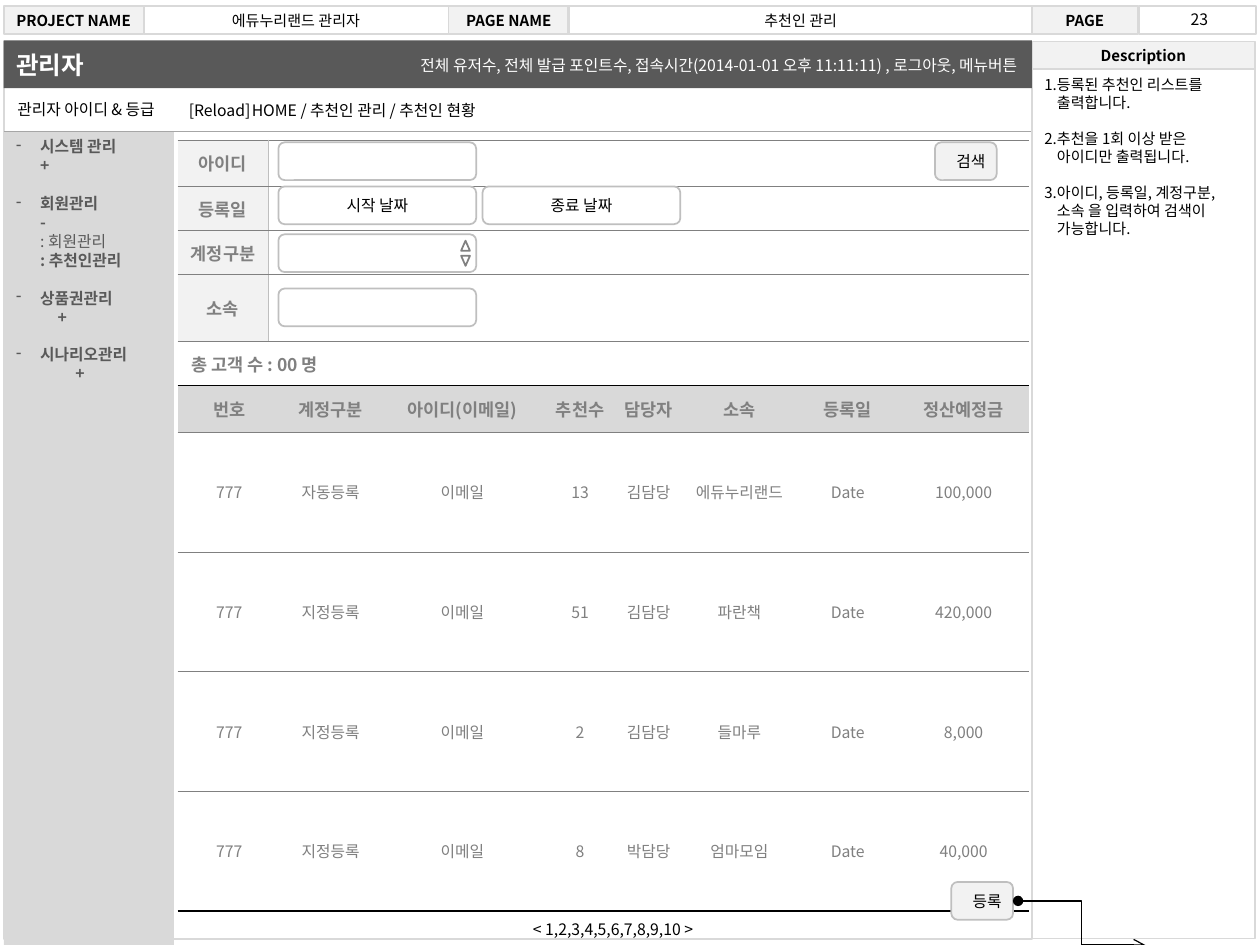
"""Build the referrer management wireframe slide."""
from dataclasses import dataclass
from lxml.etree import SubElement
from pptx import Presentation
from pptx.dml.color import RGBColor
from pptx.enum.shapes import MSO_CONNECTOR, MSO_SHAPE
from pptx.enum.text import MSO_ANCHOR, PP_ALIGN
from pptx.oxml import parse_xml
from pptx.oxml.ns import nsdecls, qn
from pptx.util import Inches, Pt


@dataclass(frozen=True)
class Theme:
    font: str = "Noto Sans CJK KR"
    black: str = "000000"
    white: str = "FFFFFF"
    dark: str = "595959"
    gray: str = "808080"
    rule: str = "A6A6A6"
    edge: str = "BFBFBF"
    soft: str = "D9D9D9"
    pale: str = "F2F2F2"
    small: float = 8.6
    body: float = 9
    head: float = 10
    title: float = 14


T = Theme()
HEADER = [("PROJECT NAME", 0.03, 1.11), ("에듀누리랜드 관리자", 1.14, 2.42),
          ("PAGE NAME", 3.56, 0.96), ("추천인 관리", 4.51, 3.69),
          ("PAGE", 8.19, 0.84), ("", 9.04, 0.93)]
NOTES = ["등록된 추천인 리스트를 출력합니다.",
         "추천을 1회 이상 받은 아이디만 출력됩니다.",
         "아이디, 등록일, 계정구분, 소속 을 입력하여 검색이 가능합니다."]
MENU = [("시스템 관리", [("+", 0, True)]),
        ("회원관리", [("-", 0, True), (": 회원관리", 0, False),
                  (": 추천인관리", 0, True)]),
        ("상품권관리", [("+", 0.14, True)]),
        ("시나리오관리", [("+", 0.28, True)])]
STATUS = ("전체 유저수, 전체 발급 포인트수, 접속시간(2014-01-01 오후 11:11:11) "
          ", 로그아웃, 메뉴버튼")
FIELDS = ["아이디", "등록일", "계정구분", "소속"]
TOTAL = "총 고객 수 : 00 명"
HEADS = ["번호", "계정구분", "아이디(이메일)", "추천수", "담당자", "소속", "등록일", "정산예정금"]
ROWS = [["777", "자동등록", "이메일", "13", "김담당", "에듀누리랜드", "Date", "100,000"],
        ["777", "지정등록", "이메일", "51", "김담당", "파란책", "Date", "420,000"],
        ["777", "지정등록", "이메일", "2", "김담당", "들마루", "Date", "8,000"],
        ["777", "지정등록", "이메일", "8", "박담당", "엄마모임", "Date", "40,000"]]
WIDTHS = [0.72, 0.07, 0.79, 1.3, 0.57, 0.52, 0.92, 0.8, 1.04]
HEIGHTS = [0.37, 0.35, 0.35, 0.53, 0.35, 0.37] + [0.95] * 4
INPUTS = [("", 2.21, 1.13), ("시작 날짜", 2.21, 1.48), ("종료 날짜", 3.83, 1.48),
          ("", 2.21, 1.86), ("", 2.21, 2.29)]
BUTTONS = [("검색", 7.42, 1.13), ("등록", 7.55, 7)]

deck = Presentation()
deck.slide_width, deck.slide_height = Inches(10), Inches(7.5)
slide = deck.slides.add_slide(deck.slide_layouts[6])
shapes = slide.shapes


def rgb(code):
    return RGBColor.from_string(code)


def say(frame, text, size=T.body, color=T.black, bold=False, align="CENTER",
        first=True, pitch=None, before=0, left=0, hang=0, mark=None, tab=None):
    para = frame.paragraphs[0] if first else frame.add_paragraph()
    para.alignment = getattr(PP_ALIGN, align)
    if pitch:
        para.line_spacing = Pt(pitch)
    if before:
        para.space_before = Pt(before)
    props = para._p.get_or_add_pPr()
    props.set("marL", str(Inches(left)))
    props.set("indent", str(Inches(-hang)))
    if mark == "1.":
        SubElement(props, qn("a:buAutoNum"), type="arabicPeriod")
    elif mark:
        SubElement(props, qn("a:buChar"), char=mark)
    if tab:
        stops = SubElement(props, qn("a:tabLst"))
        SubElement(stops, qn("a:tab"), pos=str(Inches(tab)), algn="l")
    run = para.add_run()
    run.text = text
    font = run.font
    font.name, font.size, font.bold = T.font, Pt(size), bold
    font.color.rgb = rgb(color)
    SubElement(run._r.get_or_add_rPr(), qn("a:ea"), typeface=T.font)


def box(left, top, wide, high, fill=None, line=T.soft, kind="RECTANGLE"):
    part = shapes.add_shape(getattr(MSO_SHAPE, kind), Inches(left), Inches(top),
                            Inches(wide), Inches(high))
    part.shadow.inherit = False
    if fill:
        part.fill.solid()
        part.fill.fore_color.rgb = rgb(fill)
    else:
        part.fill.background()
    if line:
        part.line.color.rgb = rgb(line)
        part.line.width = Pt(1)
    else:
        part.line.fill.background()
    part.text_frame.vertical_anchor = MSO_ANCHOR.MIDDLE
    return part


def label(text, left, top, wide, high=0.25, wrap=True, **fmt):
    frame = shapes.add_textbox(Inches(left), Inches(top), Inches(wide),
                               Inches(high)).text_frame
    frame.word_wrap = wrap
    frame.vertical_anchor = MSO_ANCHOR.MIDDLE
    say(frame, text, **fmt)


def link(kind, start, end, color, width):
    wire = shapes.add_connector(kind, *map(Inches, start + end))
    wire.line.color.rgb = rgb(color)
    wire.line.width = Pt(width)
    SubElement(wire._element.spPr, qn("a:effectLst"))
    return wire


def trim(cell, **edges):
    props = cell._tc.get_or_add_tcPr()
    for spot, side in enumerate("LRTB"):
        color, width = edges.get(side, (None, 0))
        ink = (f'<a:solidFill><a:srgbClr val="{color}"/></a:solidFill>'
               if color else "<a:noFill/>")
        props.insert(spot, parse_xml(
            f'<a:ln{side} {nsdecls("a")} w="{int(Pt(width))}">{ink}</a:ln{side}>'))


def dress(cell, fill, **edges):
    if fill:
        cell.fill.solid()
        cell.fill.fore_color.rgb = rgb(fill)
    else:
        cell.fill.background()
    cell.margin_left = cell.margin_right = Inches(0.03)
    cell.margin_top = cell.margin_bottom = Inches(0.02)
    cell.vertical_anchor = MSO_ANCHOR.MIDDLE
    trim(cell, **edges)


def build_grid():
    grid = shapes.add_table(len(HEIGHTS), len(WIDTHS), Inches(1.41), Inches(1.11),
                            Inches(sum(WIDTHS)), Inches(sum(HEIGHTS))).table
    grid.first_row = grid.horz_banding = False
    for col, wide in zip(grid.columns, WIDTHS):
        col.width = Inches(wide)
    for row, high in zip(grid.rows, HEIGHTS):
        row.height = Inches(high)
    count, last = len(FIELDS), len(HEIGHTS) - 1
    thin, thick, side = (T.gray, 0.25), (T.black, 1), (T.edge, 0.25)
    for y in range(len(HEIGHTS)):
        rule = {"T": thick if y == count + 1 else thin,
                "B": thick if y in (count, last) else thin}
        for x in range(len(WIDTHS)):
            if y < count:
                post = {"R": side} if x == 0 else {"L": side} if x == 1 else {}
                dress(grid.cell(y, x), None if x else T.pale, **rule, **post)
            else:
                dress(grid.cell(y, x), T.soft if y == count + 1 else T.white, **rule)
    bold = dict(size=T.head, color=T.gray, bold=True)
    for y, name in enumerate(FIELDS):
        grid.cell(y, 1).merge(grid.cell(y, 8))
        say(grid.cell(y, 0).text_frame, name, **bold)
        say(grid.cell(y, 1).text_frame, "")
    grid.cell(count, 0).merge(grid.cell(count, 8))
    say(grid.cell(count, 0).text_frame, TOTAL, align="LEFT", left=0.08, **bold)
    for y, row in enumerate([HEADS] + ROWS, count + 1):
        grid.cell(y, 0).merge(grid.cell(y, 1))
        fmt = bold if row is HEADS else dict(color=T.gray)
        for x, text in enumerate(row):
            say(grid.cell(y, x + 1 if x else 0).text_frame, text, **fmt)


for n, (text, left, wide) in enumerate(HEADER):
    part = box(left, 0.05, wide, 0.22, None if n % 2 else T.pale)
    if text:
        say(part.text_frame, text, size=T.small, bold=n % 2 == 0)
box(0.03, 0.33, 8.16, 7.12)
say(box(8.19, 0.33, 1.77, 0.22, T.pale).text_frame, "Description",
    size=T.small, bold=True)

frame = box(8.19, 0.55, 1.77, 6.9).text_frame
frame.vertical_anchor = MSO_ANCHOR.TOP
for n, text in enumerate(NOTES):
    say(frame, text, size=T.small, align="LEFT", first=n == 0, pitch=10.3,
        before=10.3 if n else 0, left=0.1, hang=0.1, mark="1.")
label("23", 9.24, -0.05, 0.56, 0.4)

frame = box(0.03, 1.04, 1.35, 6.46, T.soft, None).text_frame
frame.vertical_anchor = MSO_ANCHOR.TOP
look = dict(color=T.dark, align="LEFT", pitch=10.8)
for n, (text, subs) in enumerate(MENU):
    say(frame, text, bold=True, first=n == 0, before=10.8 if n else 0,
        left=0.19, hang=0.19, mark="-", **look)
    for sub, shift, bold in subs:
        say(frame, sub, bold=bold, first=False, left=0.19 + shift, **look)

say(box(0.03, 0.32, 8.16, 0.38, T.dark, None).text_frame, "관리자",
    size=T.title, color=T.white, bold=True, align="LEFT")
label(STATUS, 2.29, 0.39, 5.88, color=T.white, align="RIGHT")
link(MSO_CONNECTOR.STRAIGHT, (0.03, 1.04), (8.18, 1.04), T.rule, 0.25)
label("관리자 아이디 & 등급", 0.04, 0.74, 1.57, align="LEFT")
label("[Reload]\tHOME / 추천인 관리 / 추천인 현황", 1.4, 0.75, 2.9,
      align="LEFT", tab=0.57)
build_grid()

for text, left, top in INPUTS:
    part = box(left, top, 1.57, 0.3, T.white, T.edge, "ROUNDED_RECTANGLE")
    if text:
        say(part.text_frame, text)
for text, left, top in BUTTONS:
    frame = box(left, top, 0.49, 0.3, T.pale, T.edge, "ROUNDED_RECTANGLE").text_frame
    frame.margin_left, frame.margin_right = Inches(0.08), 0
    say(frame, text)
for top, turn in [(1.91, 0), (2.03, 180)]:
    box(3.66, top, 0.07, 0.08, T.white, T.gray, "ISOSCELES_TRIANGLE").rotation = turn
label("< 1,2,3,4,5,6,7,8,9,10 >", 4.1, 7.25, 1.53, wrap=False)

wire = link(MSO_CONNECTOR.ELBOW, (8.08, 7.15), (9.09, 7.5), T.black, 0.75)
for tag, tip in [("a:headEnd", "oval"), ("a:tailEnd", "arrow")]:
    SubElement(wire.line._get_or_add_ln(), qn(tag), type=tip)

deck.save("out.pptx")
